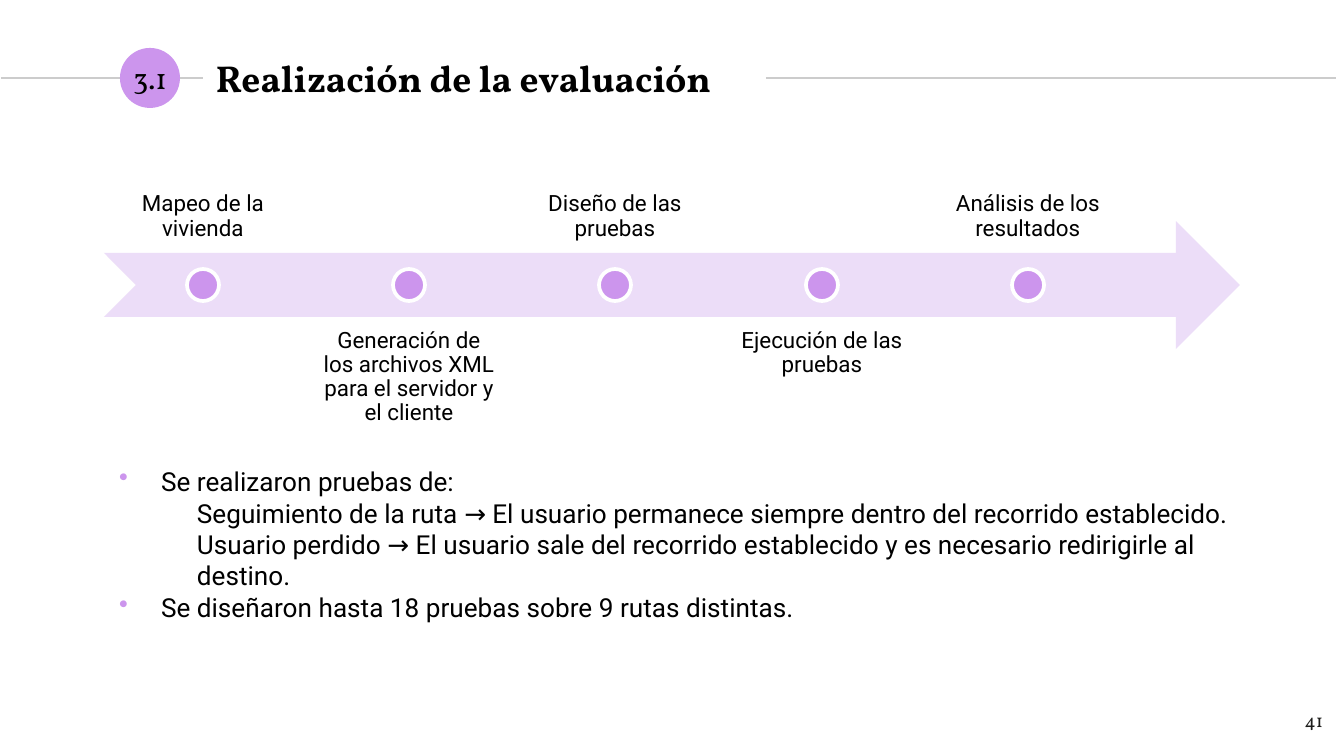
"""Build the evaluation timeline slide."""
from lxml import etree
from pptx import Presentation
from pptx.dml.color import RGBColor
from pptx.enum.shapes import MSO_CONNECTOR, MSO_SHAPE
from pptx.enum.text import MSO_ANCHOR, PP_ALIGN
from pptx.oxml.ns import qn
from pptx.util import Pt

PX = 914400 / 134.4
BLACK = RGBColor(0x00, 0x00, 0x00)
CHARCOAL = RGBColor(0x1D, 0x1D, 0x1B)
GRAY = RGBColor(0xCC, 0xCC, 0xCC)
LILAC = RGBColor(0xCC, 0x95, 0xED)
PALE_LILAC = RGBColor(0xEC, 0xDD, 0xF8)
WHITE = RGBColor(0xFF, 0xFF, 0xFF)
STRAIGHT = MSO_CONNECTOR.STRAIGHT
OVAL = MSO_SHAPE.OVAL
ARROW = MSO_SHAPE.NOTCHED_RIGHT_ARROW
TOP, MIDDLE, BOTTOM = MSO_ANCHOR.TOP, MSO_ANCHOR.MIDDLE, MSO_ANCHOR.BOTTOM
LEFT, CENTER, RIGHT = PP_ALIGN.LEFT, PP_ALIGN.CENTER, PP_ALIGN.RIGHT

presentation = Presentation()
presentation.slide_width = round(1344 * PX)
presentation.slide_height = round(756 * PX)
slide = presentation.slides.add_slide(presentation.slide_layouts[6])


def add_shape(kind, box, fill):
    shape = slide.shapes.add_shape(kind, *(round(value * PX) for value in box))
    shape.shadow.inherit = False
    shape.fill.solid()
    shape.fill.fore_color.rgb = fill
    shape.line.fill.background()
    return shape


def add_text(box, text, font, size, align=LEFT, anchor=TOP, margins=(13, 13), color=BLACK):
    shape = slide.shapes.add_textbox(*(round(value * PX) for value in box))
    text_frame = shape.text_frame
    text_frame.word_wrap = True
    text_frame.vertical_anchor = anchor
    side, end = (round(value * PX) for value in margins)
    text_frame.margin_left = text_frame.margin_right = side
    text_frame.margin_top = text_frame.margin_bottom = end
    text_frame.text = text
    for paragraph in text_frame.paragraphs:
        paragraph.alignment = align
        for run in paragraph.runs:
            run.font.name = font
            run.font.size = Pt(size)
            run.font.color.rgb = color
    return text_frame.paragraphs


for start, end in ((1, 203), (766, 1336)):
    rule = slide.shapes.add_connector(
        STRAIGHT, round(start * PX), round(78 * PX), round(end * PX), round(78 * PX))
    rule.line.color.rgb = GRAY
    rule.line.width = Pt(0.75)
    etree.SubElement(rule._element.spPr, qn("a:effectLst"))

add_shape(OVAL, (120, 48, 60, 60), LILAC)
add_text((106, 46, 88, 64), "3.1", "Vollkorn", 16, CENTER, MIDDLE)
title = add_text((203, 46, 570, 64), "Realización de la evaluación", "Vollkorn", 20, LEFT, MIDDLE)
title[0].runs[0].font.bold = True
add_text((1255, 698, 81, 58), "41", "Vollkorn", 10, RIGHT, color=CHARCOAL)

add_shape(ARROW, (104, 221, 1136, 128), PALE_LILAC)
steps = (
    "Mapeo de la vivienda",
    "Generación de los archivos XML para el servidor y el cliente",
    "Diseño de las pruebas",
    "Ejecución de las pruebas",
    "Análisis de los resultados",
)
for index, step in enumerate(steps):
    center = 203 + round(206.25 * index)
    top, anchor = (317, TOP) if index % 2 else (125, BOTTOM)
    label = add_text((center - 98, top, 196, 128), step, "Roboto", 12, CENTER, anchor, (12, 12))
    label[0].line_spacing = 0.9
    marker = add_shape(OVAL, (center - 16, 269, 32, 32), LILAC)
    marker.line.color.rgb = WHITE
    marker.line.width = Pt(2)

findings = add_text(
    (106, 458, 1136, 172),
    "Se realizaron pruebas de:\nSe diseñaron hasta 18 pruebas sobre 9 rutas distintas.",
    "Roboto", 14, margins=(13, 7))
findings[1].space_before = Pt(51)
for paragraph in findings:
    properties = paragraph._p.get_or_add_pPr()
    properties.set("marL", str(round(42 * PX)))
    properties.set("indent", str(round(-42 * PX)))
    bullet_color = etree.SubElement(properties, qn("a:buClr"))
    etree.SubElement(bullet_color, qn("a:srgbClr"), val=str(LILAC))
    etree.SubElement(properties, qn("a:buChar"), char="•")

add_text(
    (184, 490, 1066, 140),
    "Seguimiento de la ruta → El usuario permanece siempre dentro del recorrido establecido.\n"
    "Usuario perdido → El usuario sale del recorrido establecido y es necesario redirigirle al destino.",
    "Roboto", 14, margins=(13, 7))

presentation.save("out.pptx")
